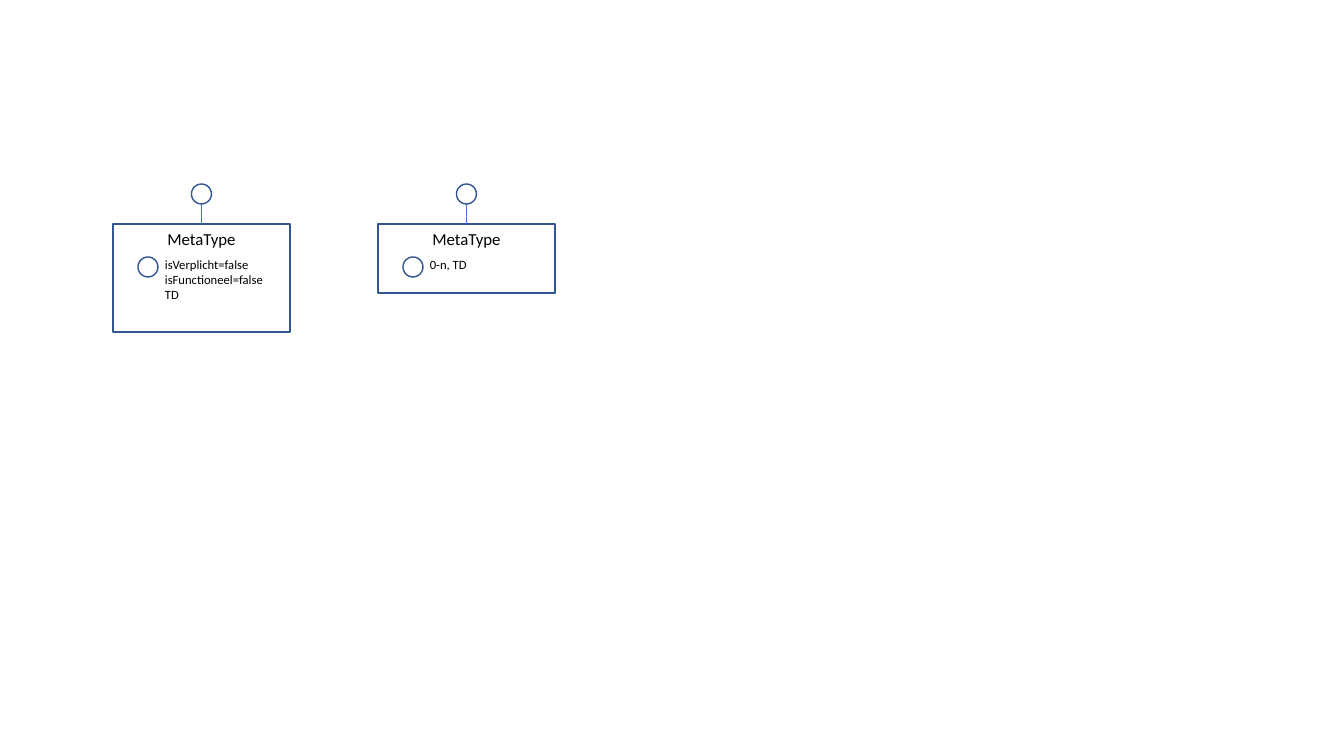
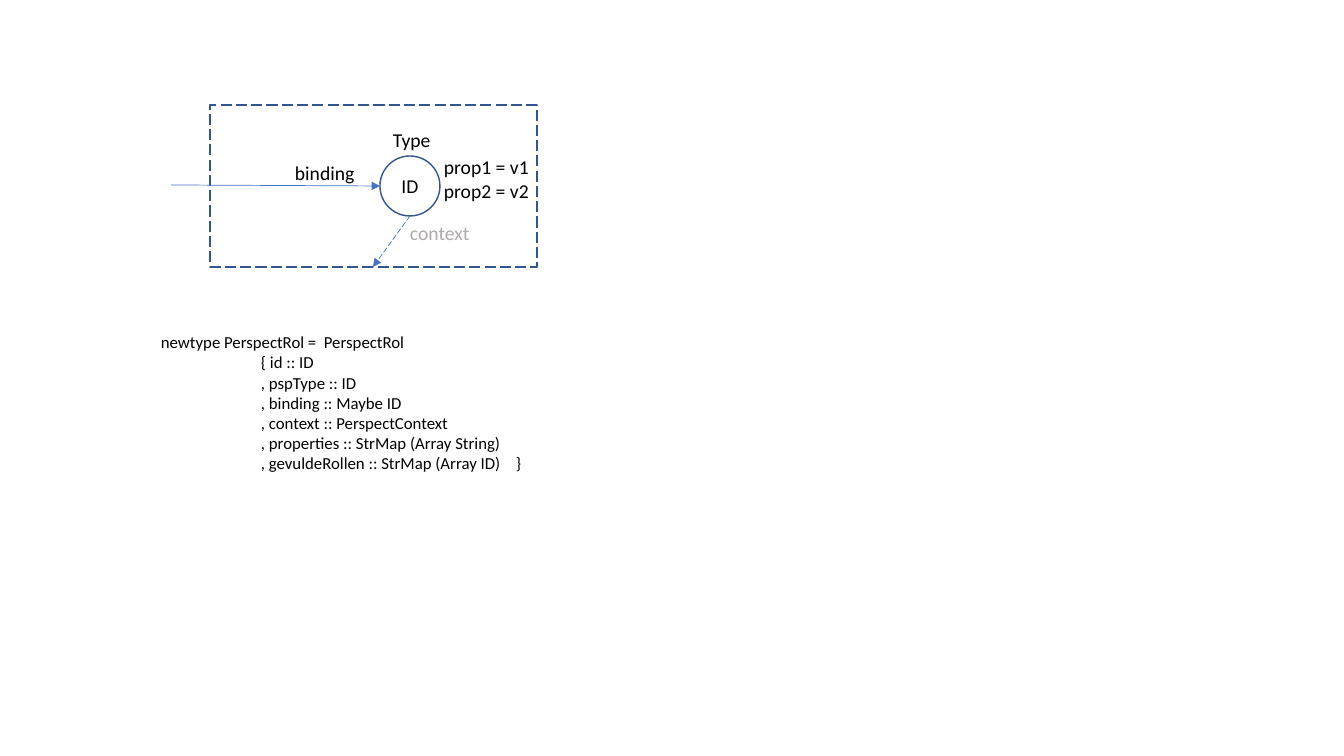
import pptx
import pptx.util
import pptx.dml.color
import pptx.enum.dml
import pptx.enum.shapes
import pptx.enum.text
import pptx.oxml
import pptx.oxml.ns
from lxml import etree

SCALE = 914400 / 100.8
FONT = "Calibri"
COLORS = {"outline": "325491", "link": "4472C4", "text": "000000", "muted": "AFABAB"}
SHAPES = pptx.enum.shapes.MSO_SHAPE
ANCHOR = pptx.enum.text.MSO_ANCHOR
ALIGN = pptx.enum.text.PP_ALIGN


def px(n):
    """Turn pixels into EMU."""
    return pptx.util.Emu(round(n * SCALE))


def rgb(name):
    """Look up a named colour."""
    return pptx.dml.color.RGBColor.from_string(COLORS[name])


class Diagram:
    """Draw diagram elements in one style on the current slide."""

    def __init__(self, prs):
        """Keep the presentation."""
        self.prs = prs
        self.slide = None

    def new_slide(self):
        """Start a blank slide."""
        self.slide = self.prs.slides.add_slide(self.prs.slide_layouts[6])

    def stroke(self, line, color, width, dashed):
        """Style an outline or a connector."""
        line.color.rgb = rgb(color)
        line.width = pptx.util.Pt(width)
        if dashed:
            line.dash_style = pptx.enum.dml.MSO_LINE.LONG_DASH

    def set_text(self, tf, text, size, color="text", align=ALIGN.LEFT, tabs=()):
        """Fill a text frame, one paragraph per line."""
        for i, content in enumerate(text.split("\n")):
            p = tf.paragraphs[0] if i == 0 else tf.add_paragraph()
            p.add_run().text = content
            p.alignment = align
            p.font.name = FONT
            p.font.size = pptx.util.Pt(size)
            p.font.color.rgb = rgb(color)
            if tabs:
                ppr = p._p.get_or_add_pPr()
                stops = etree.Element(pptx.oxml.ns.qn("a:tabLst"))
                for stop in tabs:
                    etree.SubElement(stops, pptx.oxml.ns.qn("a:tab"), pos=str(px(stop)), algn="l")
                ppr.insert(0, stops)

    def shape(self, kind, x, y, w, h, text="", size=12, anchor=ANCHOR.TOP, dashed=False):
        """Add an unfilled outlined shape."""
        sp = self.slide.shapes.add_shape(kind, px(x), px(y), px(w), px(h))
        sp.shadow.inherit = False
        sp.fill.background()
        self.stroke(sp.line, "outline", 1, dashed)
        if text:
            sp.text_frame.vertical_anchor = anchor
            self.set_text(sp.text_frame, text, size, align=ALIGN.CENTER)

    def label(self, x, y, w, h, text, size=14, color="text", wrap=False, tabs=()):
        """Add a text box."""
        tf = self.slide.shapes.add_textbox(px(x), px(y), px(w), px(h)).text_frame
        tf.word_wrap = wrap
        tf.auto_size = pptx.enum.text.MSO_AUTO_SIZE.SHAPE_TO_FIT_TEXT
        self.set_text(tf, text, size, color, tabs=tabs)

    def link(self, x1, y1, x2, y2, arrow=False, dashed=False):
        """Add a thin straight connector."""
        cxn = self.slide.shapes.add_connector(
            pptx.enum.shapes.MSO_CONNECTOR.STRAIGHT, px(x1), px(y1), px(x2), px(y2))
        self.stroke(cxn.line, "link", 0.5, dashed)
        if arrow:
            ln = cxn._element.spPr.find(pptx.oxml.ns.qn("a:ln"))
            etree.SubElement(ln, pptx.oxml.ns.qn("a:tailEnd"), type="triangle")
        etree.SubElement(cxn._element.spPr, pptx.oxml.ns.qn("a:effectLst"))

    def meta_type(self, x, h, text, text_w, text_h):
        """Add a type box with its role circles and properties."""
        top, w, dot = 224, 177, 20
        middle = x + w / 2
        self.shape(SHAPES.RECTANGLE, x, top, w, h, "MetaType")
        self.shape(SHAPES.OVAL, x + 25, top + 33, dot, dot)
        self.shape(SHAPES.OVAL, middle - dot / 2, top - 40, dot, dot)
        self.link(middle, top, middle, top - 20)
        self.label(x + 42, top + 28, text_w, text_h, text, 9)


prs = pptx.Presentation()
prs.slide_width, prs.slide_height = px(1344), px(756)
d = Diagram(prs)

d.new_slide()
d.meta_type(113, 108, "isVerplicht=false\nisFunctioneel=false\nTD", 120, 56)
d.meta_type(378, 69, "0-n, TD", 57, 25)

d.new_slide()
d.label(383, 123, 58, 34, "Type")
d.shape(SHAPES.RECTANGLE, 210, 105, 327, 162, dashed=True)
d.shape(SHAPES.OVAL, 380, 156, 60, 60, "ID", 14, ANCHOR.MIDDLE)
d.link(410, 216, 373, 267, arrow=True, dashed=True)
d.label(400, 216, 81, 34, "context", color="muted")
d.link(171, 185, 380, 186, arrow=True)
d.label(285, 156, 81, 34, "binding")
d.label(434, 150, 106, 57, "prop1 = v1\nprop2 = v2")
fields = ["{ id :: ID", ", pspType :: ID", ", binding :: Maybe ID", ", context :: PerspectContext",
          ", properties :: StrMap (Array String)", ", gevuldeRollen :: StrMap (Array ID)\t}"]
d.label(151, 327, 385, 152, "\n\t".join(["newtype PerspectRol =\tPerspectRol"] + fields),
        12, wrap=True, tabs=(100, 163, 355))

prs.save("out.pptx")
